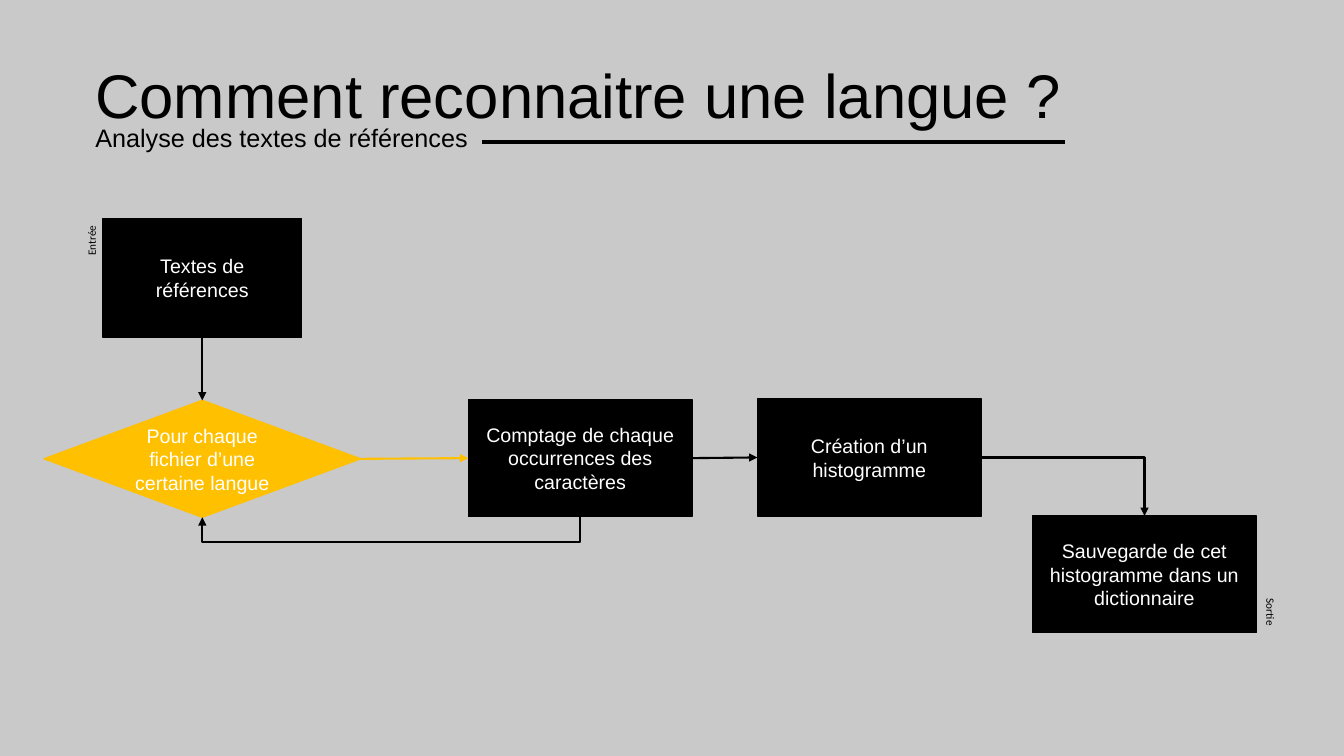
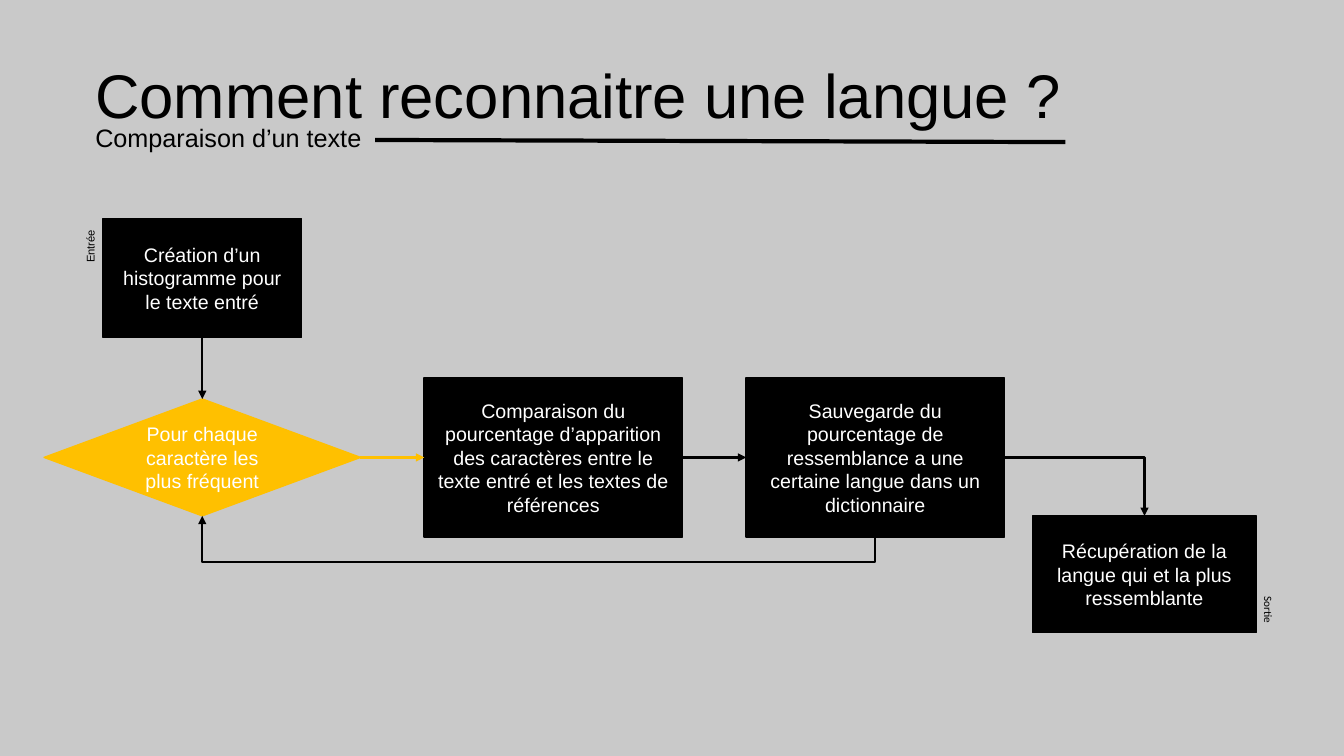
from lxml import etree
from pptx import Presentation
from pptx.dml.color import RGBColor
from pptx.enum.shapes import MSO_CONNECTOR, MSO_SHAPE
from pptx.enum.text import MSO_ANCHOR, PP_ALIGN
from pptx.oxml.ns import qn
from pptx.util import Pt

STRAIGHT, ELBOW = MSO_CONNECTOR.STRAIGHT, MSO_CONNECTOR.ELBOW
RECTANGLE, DIAMOND = MSO_SHAPE.RECTANGLE, MSO_SHAPE.DIAMOND
MIDDLE, TOP_ANCHOR = MSO_ANCHOR.MIDDLE, MSO_ANCHOR.TOP
LEFT_ALIGN, CENTER, RIGHT_ALIGN = PP_ALIGN.LEFT, PP_ALIGN.CENTER, PP_ALIGN.RIGHT

# Connection sites of rectangles and diamonds
TOP, LEFT, BOTTOM, RIGHT = range(4)

COLORS = {"background": "C9C9C9", "dark": "000000",
          "loop": "FFC000", "light": "FFFFFF"}
TITLE = "Comment reconnaitre une langue ?"
RULE_END = (761, 101.5)
STEP_SIZE = (160, 83.5)
LOOP_SIZE = (226, 83.5)
ENTRY_BOX = (73.5, 156, 142, 85)
OUTPUT_BOX = (737.5, 368.5, *STEP_SIZE)


def color(name):
    return RGBColor.from_string(COLORS[name])


class FlowDeck:
    def __init__(self):
        self.presentation = Presentation()
        self.presentation.slide_width = Pt(960)
        self.presentation.slide_height = Pt(540)
        self.slide = None

    # Slide frame: background, title, subtitle and rule
    def new_slide(self, subtitle, rule_start):
        layout = self.presentation.slide_layouts[6]
        self.slide = self.presentation.slides.add_slide(layout)
        fill = self.slide.background.fill
        fill.solid()
        fill.fore_color.rgb = color("background")
        title = self.text(TITLE, (61, 18, 706, 104.5), 44, anchor=MIDDLE)
        title.text_frame.paragraphs[0].line_spacing = 0.9
        self.text(subtitle, (61, 84, 297, 29), 18)
        rule = self.slide.shapes.add_connector(
            STRAIGHT, *map(Pt, (*rule_start, *RULE_END)))
        self.style_line(rule, "dark", 3)

    def set_text(self, shape, text, size, font, ink, align, anchor):
        frame = shape.text_frame
        frame.word_wrap = True
        frame.vertical_anchor = anchor
        paragraph = frame.paragraphs[0]
        paragraph.text = text
        paragraph.alignment = align
        paragraph.font.size = Pt(size)
        paragraph.font.name = font
        paragraph.font.color.rgb = color(ink)

    def text(self, text, box, size, font="Arial", align=LEFT_ALIGN, anchor=TOP_ANCHOR):
        shape = self.slide.shapes.add_textbox(*map(Pt, box))
        self.set_text(shape, text, size, font, "dark", align, anchor)
        return shape

    # Small label reading upwards, or downwards when turned
    def side_label(self, text, left, top, font="Calibri", rotation=0):
        label = self.text(text, (left, top, 24.5, 84), 8, font, RIGHT_ALIGN)
        label.text_frame._txBody.bodyPr.set("vert", "vert270")
        label.rotation = rotation

    def step(self, text, box, preset=RECTANGLE, fill="dark"):
        shape = self.slide.shapes.add_shape(preset, *map(Pt, box))
        shape.shadow.inherit = False
        shape.fill.solid()
        shape.fill.fore_color.rgb = color(fill)
        shape.line.color.rgb = color(fill)
        shape.line.width = Pt(1)
        self.set_text(shape, text, 14, "Arial", "light", CENTER, MIDDLE)
        return shape

    def loop(self, text, top):
        return self.step(text, (31.5, top, *LOOP_SIZE), DIAMOND, "loop")

    def style_line(self, connector, ink, width):
        connector.line.color.rgb = color(ink)
        connector.line.width = Pt(width)
        etree.SubElement(connector._element.spPr, qn("a:effectLst"))

    def arrow(self, start, start_site, end, end_site, ink="dark", kind=STRAIGHT):
        connector = self.slide.shapes.add_connector(kind, 0, 0, 0, 0)
        connector.begin_connect(start, start_site)
        connector.end_connect(end, end_site)
        self.style_line(connector, ink, 1.5)
        line = connector._element.spPr.find(qn("a:ln"))
        etree.SubElement(line, qn("a:tailEnd"), type="triangle")
        return connector

    # Right, then down
    def corner_arrow(self, start, end):
        connector = self.arrow(start, RIGHT, end, TOP, kind=ELBOW)
        geometry = connector._element.spPr.find(qn("a:prstGeom"))
        geometry.set("prst", "bentConnector2")

    # From the bottom of a step, below it, back to the bottom of the loop
    def return_arrow(self, start, end, drop=18):
        connector = self.arrow(start, BOTTOM, end, BOTTOM, kind=ELBOW)
        start_x, start_y = connector.begin_x, connector.begin_y
        end_x, end_y = connector.end_x, connector.end_y
        rise, run = end_y - start_y, start_x - end_x
        connector.width, connector.height = abs(rise), run
        connector.left = (start_x + end_x - abs(rise)) // 2
        connector.top = (start_y + end_y - run) // 2
        properties = connector._element.spPr
        frame = properties.find(qn("a:xfrm"))
        frame.set("rot", "5400000")
        frame.set("flipH", "1" if rise < 0 else "0")
        frame.set("flipV", "0")
        geometry = properties.find(qn("a:prstGeom"))
        adjustments = geometry.find(qn("a:avLst"))
        if adjustments is None:
            adjustments = etree.SubElement(geometry, qn("a:avLst"))
        bend = round(Pt(drop) / rise * 100000)
        etree.SubElement(adjustments, qn("a:gd"), name="adj1", fmla=f"val {bend}")

    # Arrows that every flow has
    def chain(self, entry, loop, first, second, output):
        self.arrow(entry, BOTTOM, loop, TOP)
        self.arrow(loop, RIGHT, first, LEFT, "loop")
        self.arrow(first, RIGHT, second, LEFT)
        self.corner_arrow(second, output)


def main():
    deck = FlowDeck()

    # Reference texts
    deck.new_slide("Analyse des textes de références", (344, 101.5))
    entry = deck.step("Textes de références", ENTRY_BOX)
    loop = deck.loop("Pour chaque fichier d’une certaine langue", 286)
    count = deck.step("Comptage de chaque occurrences des caractères",
                      (334.5, 285.5, *STEP_SIZE))
    histogram = deck.step("Création d’un histogramme", (541, 285, *STEP_SIZE))
    output = deck.step("Sauvegarde de cet histogramme dans un dictionnaire", OUTPUT_BOX)
    deck.chain(entry, loop, count, histogram, output)
    deck.return_arrow(count, loop)
    deck.side_label("Entrée", 57, 154)
    deck.side_label("Sortie", 891.5, 370, rotation=180)

    # Comparison of a text
    deck.new_slide("Comparaison d’un texte", (268, 100))
    entry = deck.step("Création d’un histogramme pour le texte entré", ENTRY_BOX)
    loop = deck.loop("Pour chaque caractère les plus fréquent", 285)
    compare = deck.step(
        "Comparaison du pourcentage d’apparition des caractères entre "
        "le texte entré et les textes de références", (303, 270, 184.5, 113.5))
    save = deck.step(
        "Sauvegarde du pourcentage de ressemblance a une certaine langue "
        "dans un dictionnaire", (533, 270, 184.5, 113.5))
    output = deck.step("Récupération de la langue qui et la plus ressemblante",
                       OUTPUT_BOX)
    deck.chain(entry, loop, compare, save, output)
    deck.return_arrow(save, loop)
    deck.side_label("Entrée", 56, 157, font="Arial")
    deck.side_label("Sortie", 890, 368.5, rotation=180)

    deck.presentation.save("out.pptx")


if __name__ == "__main__":
    main()
